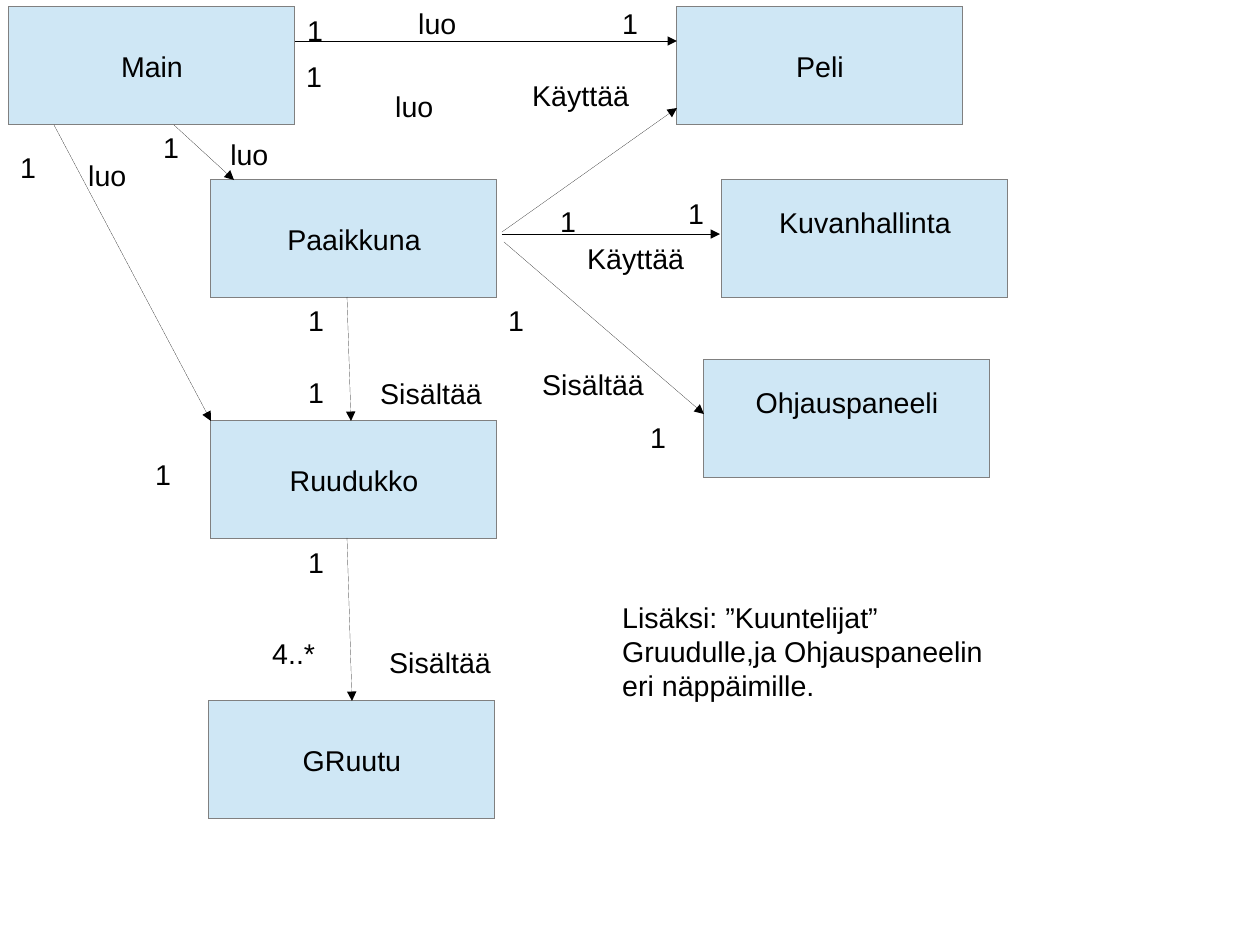
from pptx import Presentation
from pptx.dml.color import RGBColor
from pptx.enum.shapes import MSO_CONNECTOR, MSO_SHAPE
from pptx.enum.text import MSO_ANCHOR, MSO_AUTO_SIZE, PP_ALIGN
from pptx.oxml.ns import qn
from pptx.util import Pt
from lxml import etree

RECT = MSO_SHAPE.RECTANGLE
STRAIGHT = MSO_CONNECTOR.STRAIGHT
MIDDLE = MSO_ANCHOR.MIDDLE
GROW = MSO_AUTO_SIZE.SHAPE_TO_FIT_TEXT
LEFT, CENTER = PP_ALIGN.LEFT, PP_ALIGN.CENTER

PX = 8000  # EMU in one px: 28 by 21 cm is 1260 by 945 px
THEME = {
    "font": "Arial",
    "size": Pt(18),
    "hair": 1,  # thinnest line, in EMU
    "ink": RGBColor(0, 0, 0),
    "fill": RGBColor(0xCF, 0xE7, 0xF5),
    "edge": RGBColor(0x80, 0x80, 0x80),
}


def px(*nums):
    return [n * PX for n in nums]


def write(frame, text, align):
    frame.text = text
    for para in frame.paragraphs:
        para.alignment = align
        para.font.name = THEME["font"]
        para.font.size = THEME["size"]
        para.font.color.rgb = THEME["ink"]


deck = Presentation()
deck.slide_width, deck.slide_height = px(1260, 945)
slide = deck.slides.add_slide(deck.slide_layouts[6])
shapes = slide.shapes

# Class boxes: name, left, top, bottom inset
BOX_W, BOX_H = 286, 118
classes = [
    ("Paaikkuna", 211, 180, 6),
    ("Main", 9, 7, 6),
    ("Ruudukko", 211, 421, 6),
    ("GRuutu", 209, 701, 6),
    ("Peli", 677, 7, 6),
    ("Ohjauspaneeli", 704, 360, 39),
    ("Kuvanhallinta", 722, 180, 39),
]
boxes = {}
for name, left, top, inset in classes:
    box = shapes.add_shape(RECT, *px(left, top, BOX_W, BOX_H))
    box.shadow.inherit = False
    box.fill.solid()
    box.fill.fore_color.rgb = THEME["fill"]
    box.line.color.rgb = THEME["edge"]
    box.line.width = THEME["hair"]
    frame = box.text_frame
    frame.word_wrap = False
    frame.vertical_anchor = MIDDLE
    frame.margin_bottom = inset * PX
    write(frame, name, CENTER)
    boxes[name] = box

# Arrows: start x, y, end x, y, box joined at its top
arrows = [
    (502, 232, 677, 108, None),
    (347, 297, 351, 421, None),
    (347, 538, 351, 701, "GRuutu"),
    (504, 242, 704, 414, None),
    (502, 234, 720, 234, None),
    (295, 41, 677, 41, None),
    (54, 125, 211, 421, None),
    (174, 125, 234, 180, None),
]
for *ends, goal in arrows:
    arrow = shapes.add_connector(STRAIGHT, *px(*ends))
    if goal:
        arrow.end_connect(boxes[goal], 0)
    line = arrow.line
    line.color.rgb = THEME["ink"]
    line.width = THEME["hair"]
    props = arrow._element.spPr
    etree.SubElement(props.find(qn("a:ln")), qn("a:tailEnd"), type="triangle")
    etree.SubElement(props, qn("a:effectLst"))

# Labels: text, width, height, places
labels = [
    ("Käyttää", 135, 43, [(521, 72), (576, 235)]),
    ("Sisältää", 135, 43, [(369, 370), (378, 639), (531, 361)]),
    ("luo", 75, 43, [(407, 0), (384, 83), (219, 131), (77, 152)]),
    ("1", 45, 43, [
        (9, 144), (144, 451), (152, 124), (295, 53), (296, 7), (611, 0),
        (549, 198), (677, 190), (639, 414), (497, 297), (297, 297),
        (297, 369), (297, 539),
    ]),
    ("4..*", 81, 54, [(261, 630)]),
    ("Lisäksi: ”Kuuntelijat”\nGruudulle,ja Ohjauspaneelin eri näppäimille.",
     414, 139, [(611, 594)]),
]
for text, width, height, places in labels:
    for left, top in places:
        label = shapes.add_textbox(*px(left, top, width, height))
        frame = label.text_frame
        frame.word_wrap = True
        frame.auto_size = GROW
        write(frame, text, LEFT)

deck.save("out.pptx")
